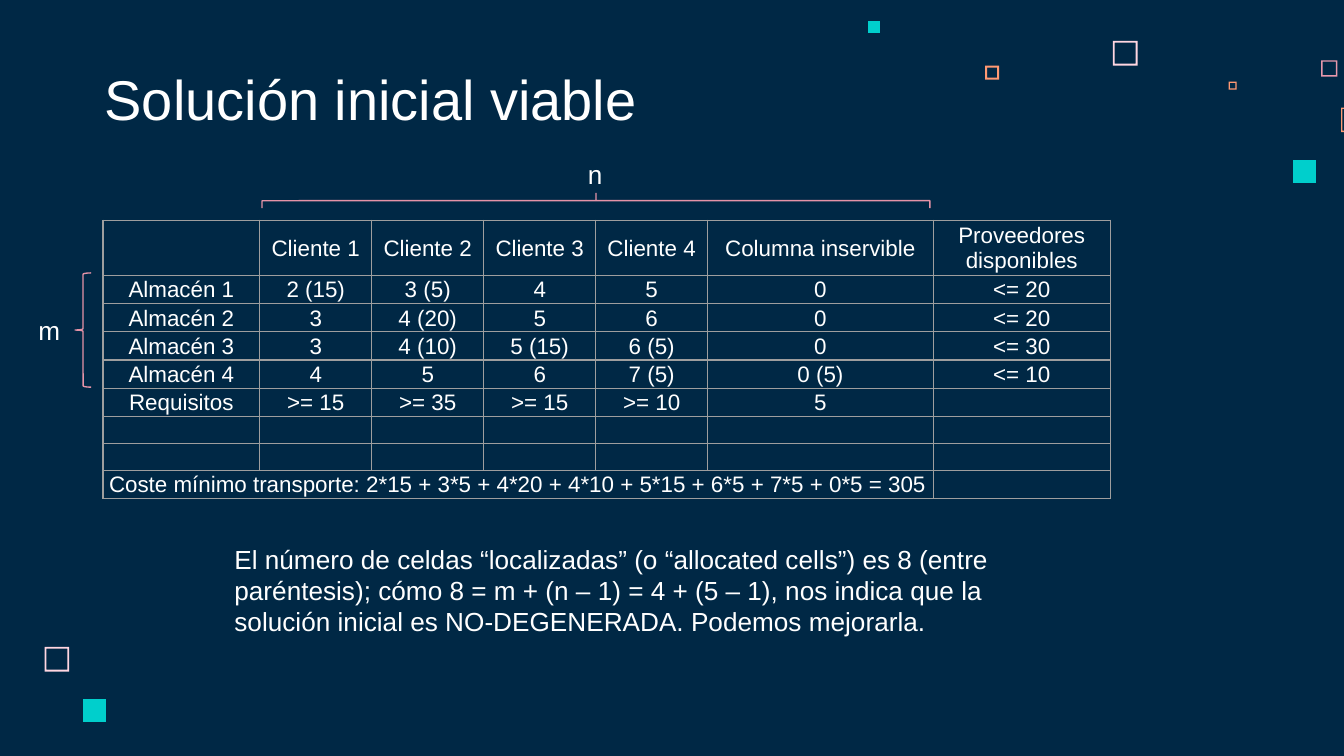
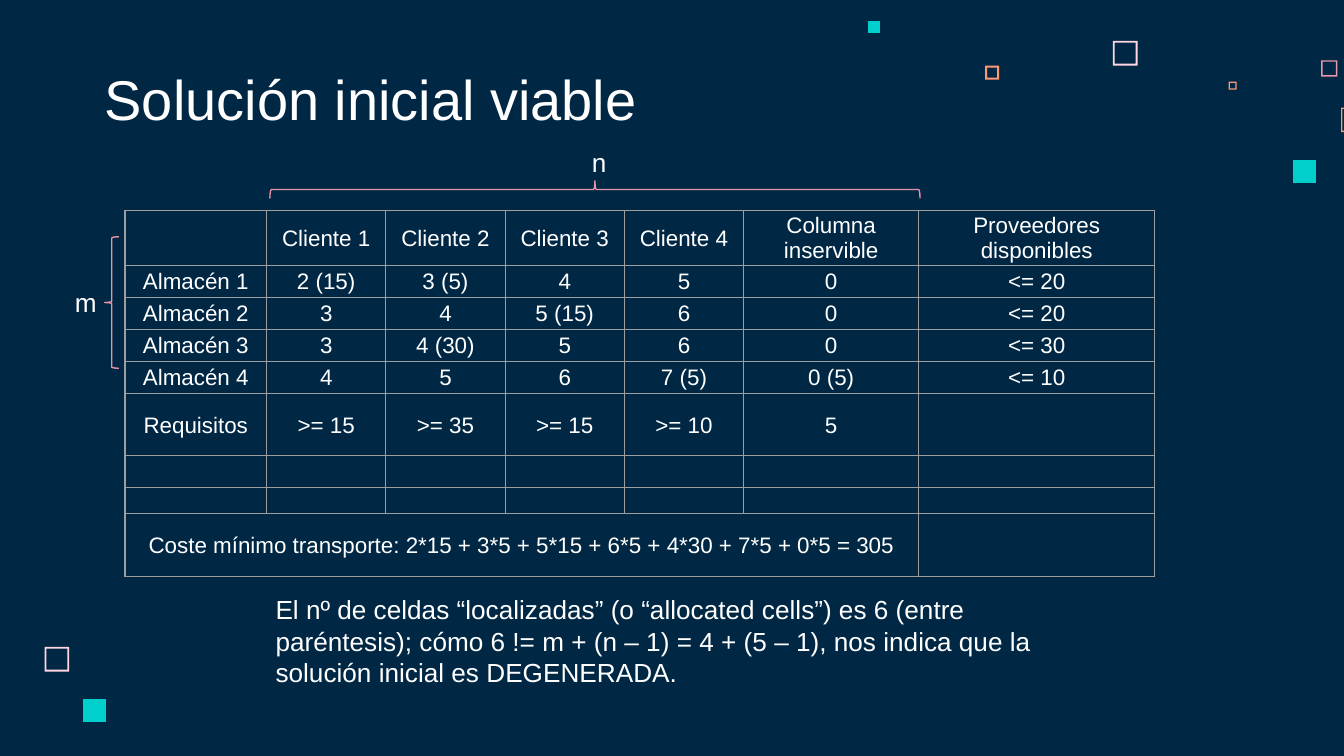
from lxml import etree
from pptx import Presentation
from pptx.dml.color import RGBColor
from pptx.enum.shapes import MSO_SHAPE
from pptx.enum.text import MSO_ANCHOR, PP_ALIGN
from pptx.oxml.ns import qn
from pptx.util import Pt

LEFT_BRACE = MSO_SHAPE.LEFT_BRACE
TOP, MIDDLE, BOTTOM = MSO_ANCHOR.TOP, MSO_ANCHOR.MIDDLE, MSO_ANCHOR.BOTTOM
LEFT, CENTER = PP_ALIGN.LEFT, PP_ALIGN.CENTER

COLORS = {
    "navy": "002845",
    "white": "FFFFFF",
    "teal": "00CFCC",
    "blush": "FFD6E1",
    "pink": "E898AC",
    "orange": "FF9973",
    "brace": "E593A7",
    "grid": "9E9E9E",
}
FONT = "Arial"
TITLE_SIZE, BODY_SIZE, CELL_SIZE = 30, 14, 12
LABEL_WIDTH, LABEL_HEIGHT = 365.8, 24.2

# Decorative squares: left, top, side, border (None = solid), color
SQUARES = [
    (596.2, 21.9, 13.2, 1, "blush"),
    (707.8, 32.4, 8.6, 0.7, "pink"),
    (658.2, 43.8, 4.3, 0.7, "orange"),
    (718.4, 57.7, 13, 0.7, "orange"),
    (692.6, 85.7, 12.4, None, "teal"),
    (527.8, 35.2, 7.4, 1, "orange"),
    (465, 11.3, 6.5, None, "teal"),
    (23.9, 346.6, 13.2, 1, "blush"),
    (44.5, 374.4, 12.4, None, "teal"),
]

HEADER = ["", "Cliente 1", "Cliente 2", "Cliente 3", "Cliente 4",
          "Columna inservible", "Proveedores disponibles"]
SUPPLIES = ["<= 20", "<= 20", "<= 30", "<= 10"]
REQUIREMENTS = ["Requisitos", ">= 15", ">= 35", ">= 15", ">= 10", "5", ""]
EMPTY_ROW = [""] * len(HEADER)


def rgb(name):
    return RGBColor.from_string(COLORS[name])


class SlideBuilder:
    """Holds the shared style and the slide being built."""

    def __init__(self):
        self.deck = Presentation()
        self.deck.slide_width, self.deck.slide_height = Pt(720), Pt(405)
        fill = self.deck.slide_master.background.fill
        fill.solid()
        fill.fore_color.rgb = rgb("navy")
        self.page = None

    def new_page(self, title):
        self.page = self.deck.slides.add_slide(self.deck.slide_layouts[6])
        for square in SQUARES:
            self.square(*square)
        self.text(title, 49, 32.4, 372.2, 45.4, TITLE_SIZE, BOTTOM, 7.2)

    def square(self, left, top, side, border, color):
        """Solid square, or a square ring when a border is given."""
        right, bottom = left + side, top + side
        builder = self.page.shapes.build_freeform(Pt(left), Pt(top))
        builder.add_line_segments(
            [(Pt(left), Pt(bottom)), (Pt(right), Pt(bottom)), (Pt(right), Pt(top))])
        if border:
            near_x, near_y = Pt(left + border), Pt(top + border)
            far_x, far_y = Pt(right - border), Pt(bottom - border)
            builder.move_to(far_x, near_y)
            builder.add_line_segments(
                [(far_x, far_y), (near_x, far_y), (near_x, near_y)])
        shape = builder.convert_to_shape()
        shape.shadow.inherit = False
        shape.fill.solid()
        shape.fill.fore_color.rgb = rgb(color)
        shape.line.fill.background()

    def add_span(self, para, words, size, align=LEFT):
        para.alignment = align
        span = para.add_run()
        span.text = words
        span.font.name = FONT
        span.font.size = Pt(size)
        span.font.color.rgb = rgb("white")

    def text(self, words, left, top, width, height,
             size=BODY_SIZE, anchor=TOP, pad=3.6):
        box = self.page.shapes.add_textbox(Pt(left), Pt(top), Pt(width), Pt(height))
        frame = box.text_frame
        frame.word_wrap = True
        frame.vertical_anchor = anchor
        frame.margin_top = frame.margin_bottom = Pt(pad)
        self.add_span(frame.paragraphs[0], words, size)

    def label(self, words, left, top):
        self.text(words, left, top, LABEL_WIDTH, LABEL_HEIGHT)

    def brace(self, left, top, width, height, rotation=0, curve=0.08):
        shape = self.page.shapes.add_shape(
            LEFT_BRACE, Pt(left), Pt(top), Pt(width), Pt(height))
        shape.rotation = rotation
        shape.adjustments[0] = curve
        shape.shadow.inherit = False
        shape.fill.background()
        shape.line.color.rgb = rgb("brace")
        shape.line.width = Pt(0.75)

    def cell(self, cell, words):
        cell.margin_left = cell.margin_right = cell.margin_top = Pt(0.7)
        cell.margin_bottom = 0
        cell.vertical_anchor = MIDDLE
        cell.fill.background()
        para = cell.text_frame.paragraphs[0]
        if words:
            self.add_span(para, words, CELL_SIZE, CENTER)
        else:
            etree.SubElement(para._p, qn("a:endParaRPr"), sz="1000")
        # Borders come before the fill in the cell properties
        properties = cell._tc.get_or_add_tcPr()
        for place, side in enumerate(("lnL", "lnR", "lnT", "lnB")):
            line = etree.Element(qn(f"a:{side}"), w=str(Pt(0.75)))
            fill = etree.SubElement(line, qn("a:solidFill"))
            etree.SubElement(fill, qn("a:srgbClr"), val=COLORS["grid"])
            properties.insert(place, line)

    def cost_table(self, left, top, widths, heights, costs, total):
        rows = [HEADER]
        for number, (cost, supply) in enumerate(zip(costs, SUPPLIES), 1):
            rows.append([f"Almacén {number}", *cost, supply])
        rows += [REQUIREMENTS, EMPTY_ROW, EMPTY_ROW, [total] + EMPTY_ROW[1:]]
        table = self.page.shapes.add_table(
            len(rows), len(HEADER), Pt(left), Pt(top),
            Pt(sum(widths)), Pt(sum(heights))).table
        table.first_row = table.horz_banding = False
        for column, width in zip(table.columns, widths):
            column.width = Pt(width)
        for row, height, words in zip(table.rows, heights, rows):
            row.height = Pt(height)
            for cell, word in zip(row.cells, words):
                self.cell(cell, word)
        last = len(rows) - 1
        table.cell(last, 0).merge(table.cell(last, len(HEADER) - 2))


def main():
    builder = SlideBuilder()

    # Non-degenerate solution
    builder.new_page("Solución inicial viable")
    builder.cost_table(
        55.2, 118, [84] + [60] * 4 + [120.8, 95], [27.3] + [14.45] * 8,
        [["2 (15)", "3 (5)", "4", "5", "0"],
         ["3", "4 (20)", "5", "6", "0"],
         ["3", "4 (10)", "5 (15)", "6 (5)", "0"],
         ["4", "5", "6", "7 (5)", "0 (5)"]],
        "Coste mínimo transporte: 2*15 + 3*5 + 4*20 + 4*10 + 5*15 + 6*5 + 7*5 + 0*5 = 305")
    builder.text(
        "El número de celdas “localizadas” (o “allocated cells”) es 8 (entre "
        "paréntesis); cómo 8 = m + (n – 1) = 4 + (5 – 1), nos indica que la "
        "solución inicial es NO-DEGENERADA. Podemos mejorarla.",
        118.5, 287.3, 432.7, 58.3)
    builder.brace(40.2, 146.2, 8.6, 61.2)
    builder.brace(315.3, -71.4, 7.9, 357.8, rotation=90, curve=0)
    builder.label("m", 13.5, 165)
    builder.label("n", 307.9, 81.4)

    # Degenerate solution
    builder.new_page("Solución inicial viable")
    builder.cost_table(
        67, 112.7, [75.8] + [63.9] * 4 + [93.8, 126.5],
        [27.3] + [17.15] * 4 + [33.4, 17.15, 13.9, 33.8],
        [["2 (15)", "3 (5)", "4", "5", "0"],
         ["3", "4", "5 (15)", "6", "0"],
         ["3", "4 (30)", "5", "6", "0"],
         ["4", "5", "6", "7 (5)", "0 (5)"]],
        "Coste mínimo transporte: 2*15 + 3*5 + 5*15 + 6*5 + 4*30 + 7*5 + 0*5 = 305")
    builder.text(
        "El nº de celdas “localizadas” (o “allocated cells”) es 6 (entre "
        "paréntesis); cómo 6 != m + (n – 1) = 4 + (5 – 1), nos indica que la "
        "solución inicial es DEGENERADA.",
        140.5, 314.6, 432.7, 58.3)
    builder.brace(56, 126.9, 7.7, 70.4)
    builder.brace(314, -72.6, 9.4, 348.3, rotation=90)
    builder.label("m", 33, 150)
    builder.label("n", 310, 75)

    builder.deck.save("out.pptx")


if __name__ == "__main__":
    main()
